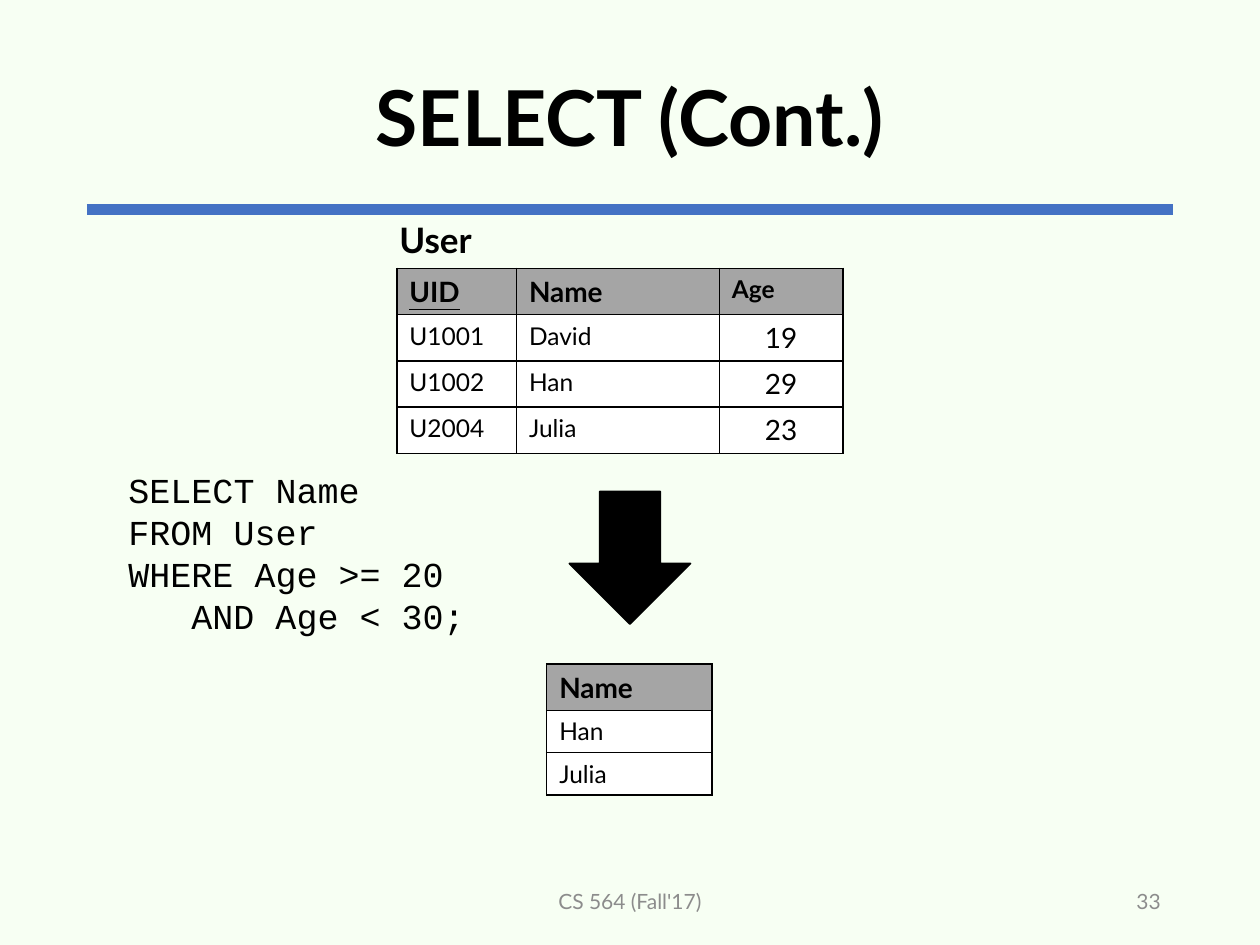
from lxml.etree import SubElement
from pptx import Presentation
from pptx.dml.color import RGBColor
from pptx.enum.shapes import MSO_CONNECTOR, MSO_SHAPE
from pptx.enum.text import MSO_ANCHOR, PP_ALIGN
from pptx.oxml.ns import qn
from pptx.util import Cm, Pt

BACKGROUND = RGBColor(0xF7, 0xFF, 0xF3)
BLACK = RGBColor(0x00, 0x00, 0x00)
WHITE = RGBColor(0xFF, 0xFF, 0xFF)
BLUE = RGBColor(0x44, 0x72, 0xC4)
HEADER_GREY = RGBColor(0xA5, 0xA5, 0xA5)
FOOTER_GREY = RGBColor(0x8C, 0x8C, 0x8C)
SANS, MONO = "Lato", "Courier New"


def add_run(p, text, size, bold=False, color=BLACK, font=SANS):
    r = p.add_run()
    r.text = text
    r.font.name = font
    r.font.size = Pt(size)
    r.font.bold = bold
    r.font.color.rgb = color
    return r


def add_text(s, box, lines, size, align=PP_ALIGN.LEFT, anchor=MSO_ANCHOR.TOP,
             wrap=True, spacing=1.0, **style):
    tf = s.shapes.add_textbox(*map(Cm, box)).text_frame
    tf.word_wrap = wrap
    tf.vertical_anchor = anchor
    for i, line in enumerate(lines):
        p = tf.add_paragraph() if i else tf.paragraphs[0]
        p.alignment = align
        p.line_spacing = spacing
        add_run(p, line, size, **style)


def add_rule(s, x1, x2, y):
    line = s.shapes.add_connector(MSO_CONNECTOR.STRAIGHT, Cm(x1), Cm(y), Cm(x2), Cm(y))
    line.line.color.rgb = BLUE
    line.line.width = Pt(6)
    SubElement(line._element.spPr, qn("a:effectLst"))


def add_down_arrow(s, box):
    arrow = s.shapes.add_shape(MSO_SHAPE.DOWN_ARROW, *map(Cm, box))
    arrow.shadow.inherit = False
    arrow.fill.solid()
    arrow.fill.fore_color.rgb = BLACK
    arrow.line.color.rgb = BLACK
    arrow.line.width = Pt(1)


def set_cell(cell, fill):
    # Borders come before the fill in the cell properties
    tc_pr = cell._tc.get_or_add_tcPr()
    for side in ("lnL", "lnR", "lnT", "lnB"):
        ln = SubElement(tc_pr, qn(f"a:{side}"), w=str(Pt(1)))
        SubElement(SubElement(ln, qn("a:solidFill")), qn("a:srgbClr"), val=str(BLACK))
    cell.fill.solid()
    cell.fill.fore_color.rgb = fill


def add_relation(s, left, top, widths, heights, rows):
    """Draw a relation; the first row holds the attribute names."""
    table = s.shapes.add_table(len(rows), len(widths), Cm(left), Cm(top),
                               Cm(sum(widths)), Cm(sum(heights))).table
    for column, width in zip(table.columns, widths):
        column.width = Cm(width)
    for i, (row, height) in enumerate(zip(rows, heights)):
        table.rows[i].height = Cm(height)
        header = i == 0
        for j, text in enumerate(row):
            cell = table.cell(i, j)
            set_cell(cell, HEADER_GREY if header else WHITE)
            p = cell.text_frame.paragraphs[0]
            is_age = j == 2
            if is_age and not header:
                p.alignment = PP_ALIGN.CENTER
            r = add_run(p, text, 16 if header != is_age else 14, bold=header)
            if text == "UID":  # primary key
                r.font.underline = True


def main():
    prs = Presentation()
    prs.slide_width, prs.slide_height = Cm(25.4), Cm(19.05)
    s = prs.slides.add_slide(prs.slide_layouts[6])
    s.background.fill.solid()
    s.background.fill.fore_color.rgb = BACKGROUND

    # Title and rule
    add_rule(s, 1.75, 23.65, 4.22)
    add_text(s, (1.75, 0.61, 21.9, 3.68), ["SELECT (Cont.)"], 44, PP_ALIGN.CENTER,
             MSO_ANCHOR.MIDDLE, spacing=0.9, bold=True)

    # Footer
    add_text(s, (8.41, 17.65, 8.58, 1.02), ["CS 564 (Fall'17)"], 12, PP_ALIGN.CENTER,
             MSO_ANCHOR.MIDDLE, color=FOOTER_GREY)
    add_text(s, (17.93, 17.65, 5.72, 1.02), ["33"], 12, PP_ALIGN.RIGHT,
             MSO_ANCHOR.MIDDLE, color=FOOTER_GREY)

    # Input relation
    add_text(s, (7.8, 4.29, 1.98, 1.12), ["User"], 20, wrap=False, bold=True)
    add_relation(s, 8, 5.41, [2.41, 4.09, 2.49], [0.93] * 4, [
        ("UID", "Name", "Age"),
        ("U1001", "David", "19"),
        ("U1002", "Han", "29"),
        ("U2004", "Julia", "23"),
    ])

    # Query
    add_text(s, (2.34, 9.32, 8.69, 3.66),
             ["SELECT Name", "FROM User", "WHERE Age >= 20", "\tAND Age < 30;"],
             20, font=MONO)
    add_down_arrow(s, (11.48, 9.91, 2.44, 2.67))

    # Result relation
    add_relation(s, 11.02, 13.39, [3.33], [0.93, 0.85, 0.85],
                 [("Name",), ("Han",), ("Julia",)])

    prs.save("out.pptx")


if __name__ == "__main__":
    main()
